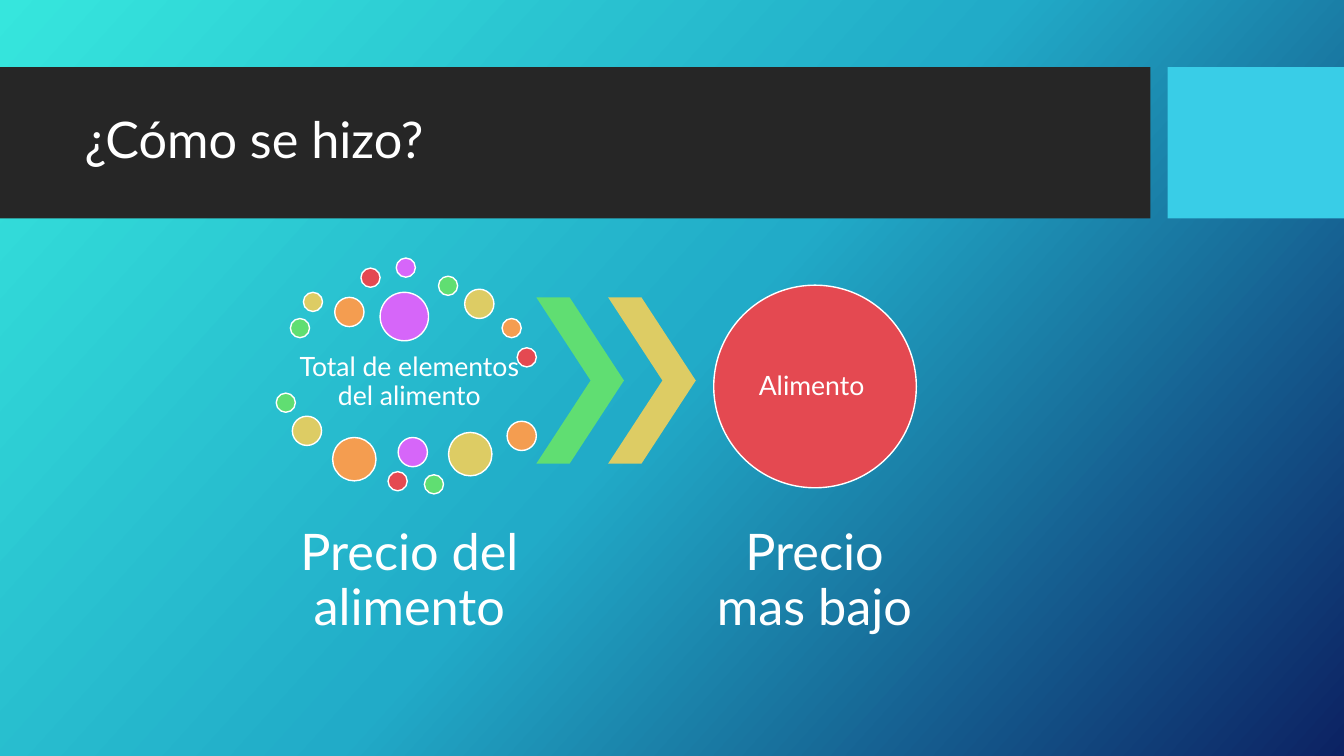
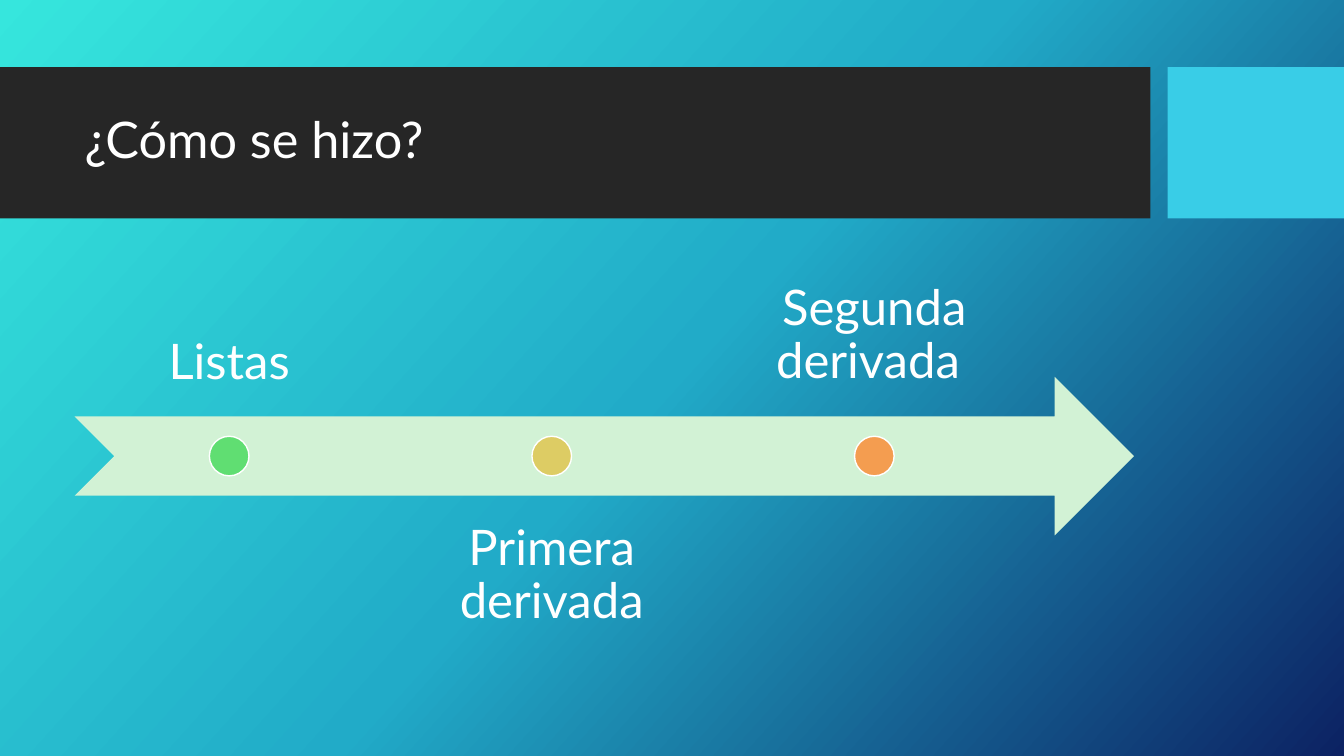
from copy import deepcopy
from dataclasses import dataclass
from itertools import cycle

from pptx import Presentation
from pptx.dml.color import RGBColor
from pptx.enum.shapes import MSO_SHAPE
from pptx.enum.text import MSO_ANCHOR, PP_ALIGN
from pptx.oxml.ns import qn
from pptx.util import Pt

RECT, OVAL = MSO_SHAPE.RECTANGLE, MSO_SHAPE.OVAL
CHEVRON, ARROW = MSO_SHAPE.CHEVRON, MSO_SHAPE.NOTCHED_RIGHT_ARROW
TOP, MIDDLE, BOTTOM = MSO_ANCHOR.TOP, MSO_ANCHOR.MIDDLE, MSO_ANCHOR.BOTTOM
LEFT, CENTER = PP_ALIGN.LEFT, PP_ALIGN.CENTER


@dataclass(frozen=True)
class Theme:
    """Colours and type sizes of the deck."""
    font: str = "Lato"
    white: str = "FFFFFF"
    band: str = "262626"
    block: str = "39CDE7"
    green: str = "60DE72"
    sand: str = "DDCC64"
    orange: str = "F49D50"
    red: str = "E44951"
    violet: str = "D666F9"
    pale: str = "D2F2D5"
    back: tuple = ((0, "36E6DD"), (0.5, "21ABC8"), (1, "0C2263"))
    angle: int = 42
    title: int = 36
    step: int = 35
    body: int = 19


T = Theme()
WIDE, HIGH = 960, 540
HEAD = (0, 48, WIDE, 108)
CLOUD = (197.3, 184.3, 470, 284)
TIME = (53.3, 184.3, 756.7, 283)

# Dots of the cloud: left, top, diameter
DOTS = (
    (10.1, 43.2, 13.7), (19.4, 24.5, 13.7), (41.8, 28.1, 20.9),
    (60.5, 7.2, 13.7), (85.7, 0, 13.7), (115.9, 13, 13.7),
    (134.6, 22.3, 20.9), (161.3, 43.2, 13.7), (172.1, 64.1, 13.7),
    (74.2, 24.5, 34.6), (0, 96.5, 13.7), (11.5, 113, 20.9),
    (40.3, 128.2, 31), (79.9, 152.6, 13.7), (87.1, 128.2, 20.9),
    (105.8, 154.8, 13.7), (123.1, 124.6, 31), (164.9, 116.6, 20.9),
)
STEPS = (
    ("Listas", T.green),
    ("Primera derivada", T.sand),
    ("Segunda derivada ", T.orange),
)


def write(shape, text, size=T.body, align=CENTER, anchor=MIDDLE, inset=0):
    """Put formatted text into a shape; inset is one length or (x, y)."""
    across, down = inset if isinstance(inset, tuple) else (inset, inset)
    frame = shape.text_frame
    frame.word_wrap = True
    frame.vertical_anchor = anchor
    frame.margin_left = frame.margin_right = Pt(across)
    frame.margin_top = frame.margin_bottom = Pt(down)
    para = frame.paragraphs[0]
    para.alignment, para.line_spacing = align, 0.9
    run = para.add_run()
    run.text = text
    run.font.name, run.font.size = T.font, Pt(size)
    run.font.color.rgb = RGBColor.from_string(T.white)


def label(slide, box, text, **style):
    """Add a text box."""
    write(slide.shapes.add_textbox(*map(Pt, box)), text, **style)


def draw(slide, kind, box, fill, line=False):
    """Add a filled preset shape, with a white outline if asked."""
    shape = slide.shapes.add_shape(kind, *map(Pt, box))
    shape.shadow.inherit = False
    shape.fill.solid()
    shape.fill.fore_color.rgb = RGBColor.from_string(fill)
    if line:
        shape.line.color.rgb = RGBColor.from_string(T.white)
        shape.line.width = Pt(1)
    else:
        shape.line.fill.background()
    return shape


def paint(slide):
    """Fill the background with the three-stop gradient."""
    fill = slide.background.fill
    fill.gradient()
    fill.gradient_angle = 360 - T.angle
    stops = slide.element.find(".//" + qn("a:gsLst"))
    stops.append(deepcopy(stops[-1]))
    for stop, (place, color) in zip(fill.gradient_stops, T.back):
        stop.position = place
        stop.color.rgb = RGBColor.from_string(color)


def header(slide, box, text):
    """Draw the dark title band and the block at its right."""
    x, y, w, h = box
    block, gap = 126, 12.3
    band = w - block - gap
    draw(slide, RECT, (x, y, band, h), T.band)
    draw(slide, RECT, (x + w - block, y, block, h), T.block)
    label(slide, (x + 53.3, y + 11, 756.7, 85), text,
          size=T.title, align=LEFT, inset=(7.2, 3.6))


def cloud(slide, box):
    """Draw the dots that lead through chevrons to one circle."""
    x, y = box[:2]
    wide = 170
    label(slide, (x + 10.1, y + 60.5, wide, 56.2),
          "Total de elementos del alimento", inset=2)
    hues = cycle((T.green, T.sand, T.orange, T.red, T.violet))
    for (left, top, size), hue in zip(DOTS, hues):
        draw(slide, OVAL, (x + left, y + top, size, size), hue, line=True)
    for i, hue in enumerate((T.green, T.sand)):
        mark = draw(slide, CHEVRON,
                    (x + 185.8 + i * 51.3, y + 28.1, 62.6, 118.8), hue)
        mark.adjustments[0] = 0.62
    disc = draw(slide, OVAL, (x + 312.5, y + 19.4, 144.7, 144.7),
                T.red, line=True)
    write(disc, "Alimento ")
    for left, text in ((10.1, "Precio del alimento"),
                       (299.5, "Precio mas bajo")):
        label(slide, (x + left, y + 178.6, wide, 105), text,
              size=T.title, inset=3.6)


def timeline(slide, box):
    """Draw an arrow with dots, and labels above and below in turn."""
    x, y, w, h = box
    tall, wide, dot = 0.4 * h, 0.29 * w, 0.1 * h
    draw(slide, ARROW, (x, y + 0.3 * h, w, tall), T.pale)
    for i, (text, hue) in enumerate(STEPS):
        left = x + 0.7 + i * 1.05 * wide
        top, anchor = (y + 0.6 * h, TOP) if i % 2 else (y, BOTTOM)
        label(slide, (left, top, wide, tall), text,
              size=T.step, anchor=anchor, inset=19.4)
        draw(slide, OVAL, (left + (wide - dot) / 2, y + (h - dot) / 2,
                           dot, dot), hue, line=True)


def main():
    """Build and save the deck."""
    deck = Presentation()
    deck.slide_width, deck.slide_height = Pt(WIDE), Pt(HIGH)
    for part, box in ((cloud, CLOUD), (timeline, TIME)):
        slide = deck.slides.add_slide(deck.slide_layouts[6])
        paint(slide)
        header(slide, HEAD, "¿Cómo se hizo?")
        part(slide, box)
    deck.save("out.pptx")


main()
